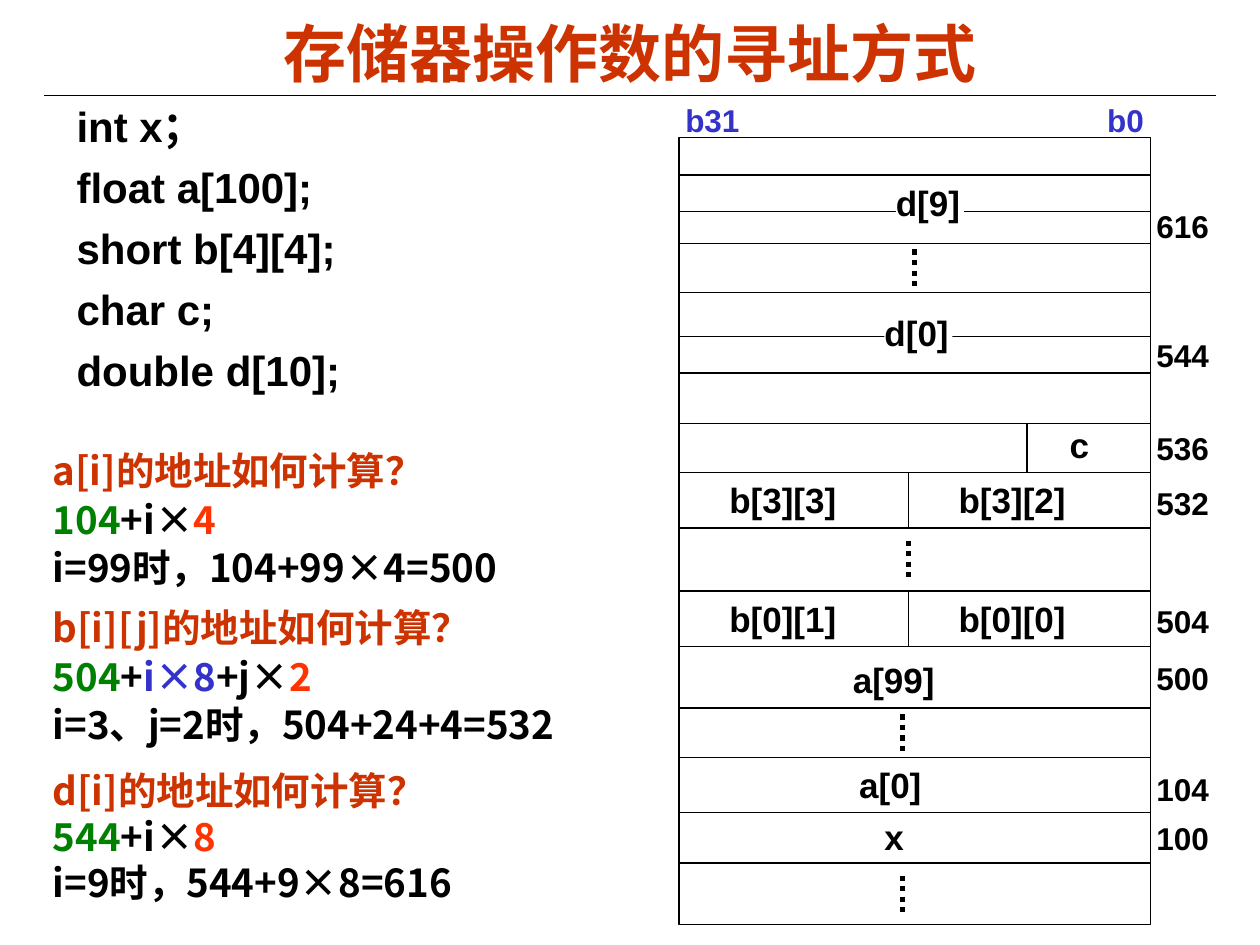
from typing import NamedTuple

from lxml.etree import SubElement
from pptx import Presentation
from pptx.dml.color import RGBColor
from pptx.enum.dml import MSO_LINE
from pptx.enum.shapes import MSO_CONNECTOR, MSO_SHAPE
from pptx.enum.text import MSO_ANCHOR, PP_ALIGN
from pptx.oxml.ns import qn
from pptx.util import Inches, Pt

BLACK = RGBColor(0x00, 0x00, 0x00)
WHITE = RGBColor(0xFF, 0xFF, 0xFF)
RUST = RGBColor(0xCC, 0x33, 0x00)
GREEN = RGBColor(0x00, 0x80, 0x00)
RED = RGBColor(0xFF, 0x33, 0x00)
BLUE = RGBColor(0x33, 0x33, 0xCC)

LATIN, CJK = "Arial", "Noto Sans CJK SC"

# Memory map frame
LEFT, RIGHT, TOP, BOTTOM = 5.39, 9.13, 1.09, 7.34
HALF, BYTE = 7.21, 8.15


class Label(NamedTuple):
    text: str
    x: float
    y: float
    w: float


class Para(NamedTuple):
    runs: list
    before: float = 0


class Rule(NamedTuple):
    x1: float
    y1: float
    x2: float
    y2: float


DECLARATIONS = ["int x；", "float a[100];", "short b[4][4];", "char c;", "double d[10];"]

FORMULAS = [
    Para([("a[i]的地址如何计算？", RUST)]),
    Para([("104", GREEN), ("+i×", BLACK), ("4", RED)], 1.4),
    Para([("i=99时，104+99×4=500", BLACK)], 1.4),
    Para([("b[i][j]的地址如何计算？", RUST)], 8.2),
    Para([("504", GREEN), ("+", BLACK), ("i×8", BLUE), ("+j×", BLACK), ("2", RED)], 1.4),
    Para([("i=3、j=2时，504+24+4=532", BLACK)], 1.4),
    Para([("d[i]的地址如何计算？", RUST)], 11),
    Para([("544", GREEN), ("+i×", BLACK), ("8", RED)]),
    Para([("i=9时，544+9×8=616", BLACK)]),
]

WORD_LINES = [1.68, 2.67]  # middle of each double
ROW_LINES = [1.39, 1.93, 2.32, 2.96, 3.36, 3.75, 4.19, 4.69, 5.13, 5.62, 6.01, 6.45, 6.85]
DIVIDERS = [Rule(BYTE, 3.36, BYTE, 3.75), Rule(HALF, 3.75, HALF, 4.19),
            Rule(HALF, 4.69, HALF, 5.13)]
DOTS = [(7.26, 1.98), (7.21, 4.29), (7.16, 5.67), (7.16, 6.95)]

DOUBLES = [Label("d[9]", 7.11, 1.39, 0.54), Label("d[0]", 7.02, 2.42, 0.54)]
CELLS = [
    Label("c", 8.39, 3.31, 0.44),
    Label("b[3][3]", 5.69, 3.75, 1.23), Label("b[3][2]", 7.51, 3.75, 1.23),
    Label("b[0][1]", 5.69, 4.69, 1.23), Label("b[0][0]", 7.51, 4.69, 1.23),
    Label("a[99]", 6.67, 5.18, 0.89), Label("a[0]", 6.72, 6.01, 0.89),
    Label("x", 6.92, 6.42, 0.44),
]
ADDRESSES = {"616": 1.59, "544": 2.62, "536": 3.36, "532": 3.79, "504": 4.73,
             "500": 5.18, "104": 6.06, "100": 6.45}


def add_run(p, text: str, size: float, color: RGBColor, font: str = LATIN) -> None:
    r = p.add_run()
    r.text = text
    for name, value in {"name": font, "size": Pt(size), "bold": True}.items():
        setattr(r.font, name, value)
    r.font.color.rgb = color
    SubElement(r.font._element, qn("a:ea")).set("typeface", CJK)


def add_box(slide, x: float, y: float, w: float, h: float):
    tf = slide.shapes.add_textbox(Inches(x), Inches(y), Inches(w), Inches(h)).text_frame
    tf.word_wrap = True
    return tf


def add_paragraphs(tf, paras: list, size: float, pitch: float, font: str) -> None:
    for i, para in enumerate(paras):
        p = tf.paragraphs[0] if i == 0 else tf.add_paragraph()
        p.space_before, p.line_spacing = Pt(para.before), Pt(pitch)
        for text, color in para.runs:
            add_run(p, text, size, color, font)


def add_line(slide, rule: Rule, width: float = 0.75, dash=None) -> None:
    ends = [Inches(v) for v in rule]
    s = slide.shapes.add_connector(MSO_CONNECTOR.STRAIGHT, *ends)
    s.line.color.rgb = BLACK
    s.line.width = Pt(width)
    if dash is not None:
        s.line.dash_style = dash
    SubElement(s._element.spPr, qn("a:effectLst"))


def add_rect(slide, x: float, y: float, w: float, h: float):
    s = slide.shapes.add_shape(MSO_SHAPE.RECTANGLE, Inches(x), Inches(y), Inches(w), Inches(h))
    s.shadow.inherit = False
    s.fill.solid()
    s.fill.fore_color.rgb = WHITE
    return s


def add_double_label(slide, label: Label) -> None:
    s = add_rect(slide, label.x, label.y, label.w, 0.44)
    s.line.fill.background()
    tf = s.text_frame
    for name, value in {"margin_left": 0, "margin_right": 0, "word_wrap": True,
                        "vertical_anchor": MSO_ANCHOR.TOP}.items():
        setattr(tf, name, value)
    p = tf.paragraphs[0]
    p.alignment = PP_ALIGN.LEFT
    add_run(p, label.text, 20, BLACK)


def add_title(slide, text: str) -> None:
    sp = slide.shapes.title
    box = {"left": 0.5, "top": 0.11, "width": 9, "height": 0.61}
    for name, value in box.items():
        setattr(sp, name, Inches(value))
    sp.text_frame.vertical_anchor = MSO_ANCHOR.MIDDLE
    p = sp.text_frame.paragraphs[0]
    p.alignment = PP_ALIGN.CENTER
    add_run(p, text, 36, RUST)


def add_memory_map(slide) -> None:
    frame = add_rect(slide, LEFT, TOP, RIGHT - LEFT, BOTTOM - TOP)
    frame.line.color.rgb = BLACK
    frame.line.width = Pt(0.75)

    # Bit numbers, the last one on a right tab
    p = add_box(slide, 5.34, 0.75, 3.99, 0.4).paragraphs[0]
    tabs = SubElement(p._p.get_or_add_pPr(), qn("a:tabLst"))
    tab = SubElement(tabs, qn("a:tab"))
    tab.set("pos", str(Inches(3.64)))
    tab.set("algn", "r")
    add_run(p, "b31\tb0", 18, BLUE)

    # Doubles hide the middle of their word lines
    for y in WORD_LINES:
        add_line(slide, Rule(LEFT, y, RIGHT, y))
    for label in DOUBLES:
        add_double_label(slide, label)

    # Rows, dividers and ellipses
    for rule in [Rule(LEFT, y, RIGHT, y) for y in ROW_LINES] + DIVIDERS:
        add_line(slide, rule)
    for x, y in DOTS:
        add_line(slide, Rule(x, y, x, y + 0.29), 3, MSO_LINE.ROUND_DOT)

    # Cell contents and addresses
    for label in CELLS:
        tf = add_box(slide, label.x, label.y, label.w, 0.44)
        add_run(tf.paragraphs[0], label.text, 20, BLACK)
    for address, y in ADDRESSES.items():
        add_run(add_box(slide, 9.08, y, 0.64, 0.4).paragraphs[0], address, 18, BLACK)


def main() -> None:
    prs = Presentation()
    prs.slide_width, prs.slide_height = Inches(10), Inches(7.5)
    slide = prs.slides.add_slide(prs.slide_layouts[5])

    # Title and rule
    add_title(slide, "存储器操作数的寻址方式")
    add_line(slide, Rule(0.35, 0.76, 9.65, 0.76))

    # Declarations and address formulas
    declarations = [Para([(text, BLACK)], 6 if i else 0) for i, text in enumerate(DECLARATIONS)]
    add_paragraphs(add_box(slide, 0.51, 0.75, 3.4, 2.49), declarations, 24, 28.8, LATIN)
    add_paragraphs(add_box(slide, 0.32, 3.5, 4.68, 3.75), FORMULAS, 22, 26.3, CJK)

    add_memory_map(slide)
    prs.save("out.pptx")


if __name__ == "__main__":
    main()
